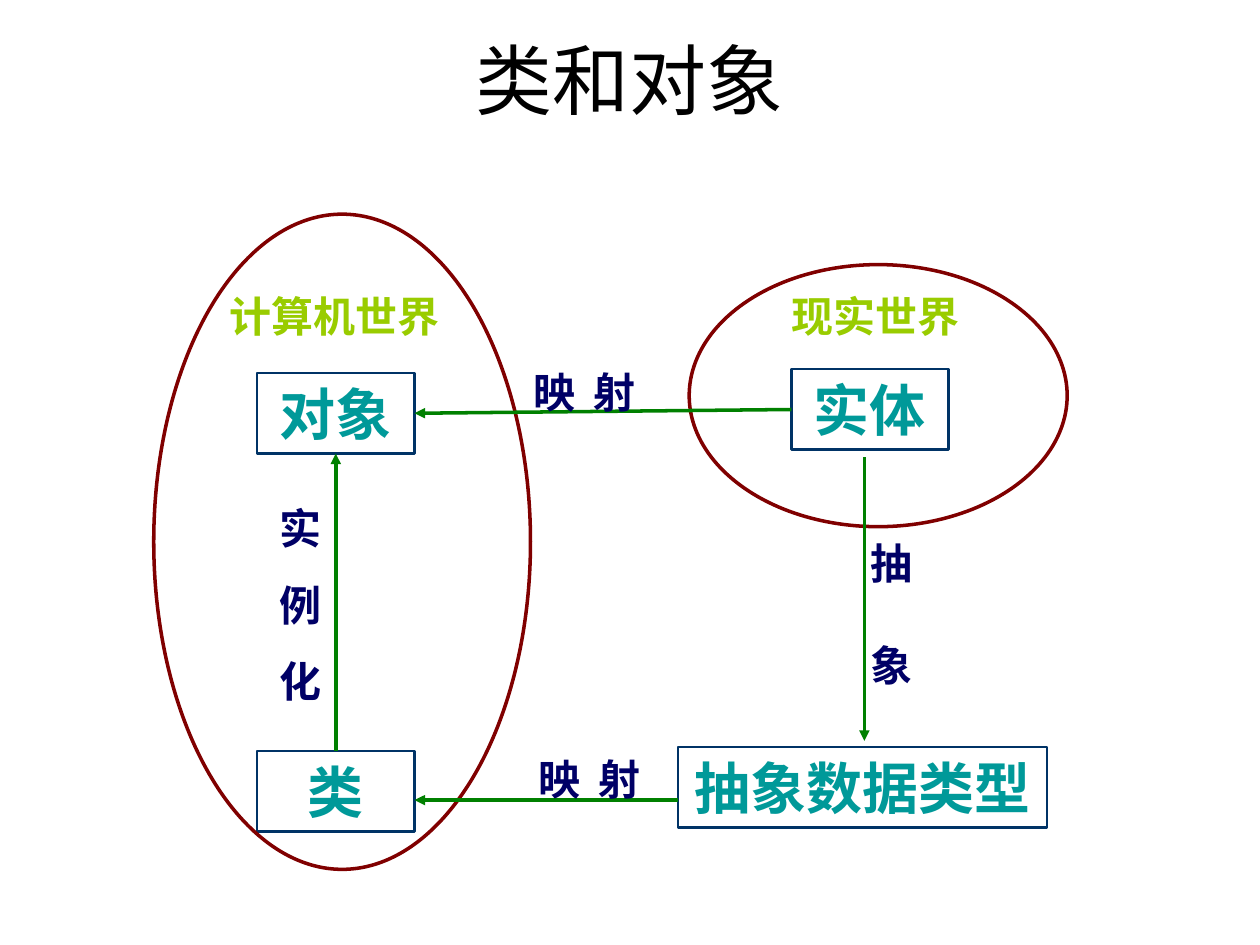
from lxml import etree
from pptx import Presentation
from pptx.dml.color import RGBColor
from pptx.enum import shapes, text
from pptx.oxml.ns import qn
from pptx.util import Inches, Pt

BLACK = RGBColor(0x00, 0x00, 0x00)
NAVY = RGBColor(0x00, 0x33, 0x66)
INDIGO = RGBColor(0x00, 0x00, 0x66)
TEAL = RGBColor(0x00, 0x99, 0x99)
LIME = RGBColor(0x99, 0xCC, 0x00)
MAROON = RGBColor(0x80, 0x00, 0x00)
GREEN = RGBColor(0x00, 0x80, 0x00)

prs = Presentation()
prs.slide_width, prs.slide_height = Inches(10), Inches(7.5)
slide = prs.slides.add_slide(prs.slide_layouts[6])


def write(holder, words, size, color, font="Times New Roman", bold=True,
          align=text.PP_ALIGN.CENTER, gap=0, spacing=0):
    frame = holder.text_frame
    frame.word_wrap = True
    frame.text = words
    for number, paragraph in enumerate(frame.paragraphs):
        paragraph.alignment = align
        if number:
            paragraph.space_before = Pt(gap)
        for run in paragraph.runs:
            run.font.name = font
            run.font.size = Pt(size)
            run.font.bold = bold
            run.font.color.rgb = color
            if spacing:
                run.font._element.set("spc", str(spacing))


def outline(kind, bounds, color, width):
    shape = slide.shapes.add_shape(kind, *map(Inches, bounds))
    shape.shadow.inherit = False
    shape.fill.background()
    shape.line.color.rgb = color
    shape.line.width = Pt(width)
    return shape


title = slide.shapes.add_textbox(Inches(0.75), Inches(0), Inches(8.5), Inches(1.25))
write(title, "类和对象", 44, BLACK, font="Arial", bold=False)
title.text_frame.vertical_anchor = text.MSO_ANCHOR.MIDDLE

concepts = {}
for name, left, top, width in [
    ("对象", 2.04, 2.96, 1.25),
    ("实体", 6.28, 2.93, 1.25),
    ("类", 2.04, 5.96, 1.25),
    ("抽象数据类型", 5.38, 5.93, 2.93),
]:
    concept = outline(shapes.MSO_SHAPE.RECTANGLE, (left, top, width, 0.64), NAVY, 1.5)
    write(concept, name, 32, TEAL)
    concept.text_frame.vertical_anchor = text.MSO_ANCHOR.TOP
    concepts[name] = concept

for world, ellipse, label in [
    ("计算机世界", (1.22, 1.7, 2.99, 5.2), (1.53, 2.26, 2.25, 0.5)),
    ("现实世界", (5.47, 2.1, 3, 2.08), (5.99, 2.26, 1.92, 0.5)),
]:
    outline(shapes.MSO_SHAPE.OVAL, ellipse, MAROON, 2)
    write(slide.shapes.add_textbox(*map(Inches, label)), world, 24, LIME)

for ends, source, target in [
    ((2.63, 5.95, 2.63, 3.59), ("类", 0), ("对象", 2)),
    ((6.26, 3.27, 3.27, 3.28), ("实体", 1), ("对象", 3)),
    ((6.86, 3.63, 6.86, 5.88), None, None),
    ((5.38, 6.35, 3.29, 6.35), None, None),
]:
    arrow = slide.shapes.add_connector(shapes.MSO_CONNECTOR.STRAIGHT, *map(Inches, ends))
    if source:
        arrow.begin_connect(concepts[source[0]], source[1])
        arrow.end_connect(concepts[target[0]], target[1])
    arrow.line.color.rgb = GREEN
    arrow.line.width = Pt(2)
    etree.SubElement(arrow.line._get_or_add_ln(), qn("a:tailEnd"), type="triangle")
    etree.SubElement(arrow._element.spPr, qn("a:effectLst"))

for relation, bounds, gap in [
    ("实\n例\n化", (2.12, 3.94, 0.67, 1.72), 15),
    ("抽\n象", (6.81, 4.22, 0.47, 1.3), 29),
]:
    label = slide.shapes.add_textbox(*map(Inches, bounds))
    write(label, relation, 24, INDIGO, align=text.PP_ALIGN.LEFT, gap=gap)

for left, top, width in [(3.89, 2.86, 1.5), (4.13, 5.93, 1.1)]:
    label = slide.shapes.add_textbox(Inches(left), Inches(top), Inches(width), Inches(0.5))
    write(label, "映 射", 24, INDIGO, spacing=250)

prs.save("out.pptx")
